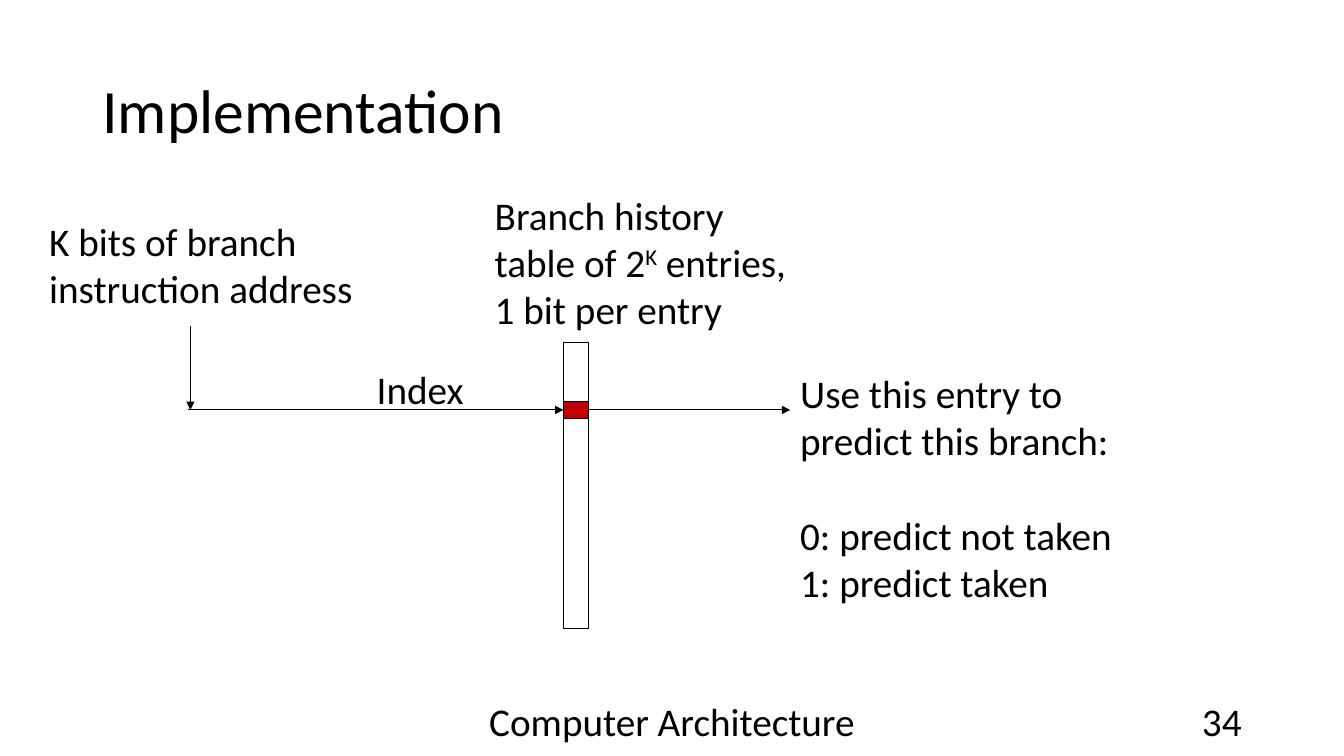
"""Build a slide that shows how a branch history table is implemented."""
from lxml import etree
from pptx import Presentation
from pptx.dml.color import RGBColor
from pptx.enum.shapes import MSO_CONNECTOR, MSO_SHAPE
from pptx.enum.text import MSO_ANCHOR, MSO_AUTO_SIZE, PP_ALIGN
from pptx.oxml.ns import qn
from pptx.util import Pt

STRAIGHT = MSO_CONNECTOR.STRAIGHT
RECTANGLE = MSO_SHAPE.RECTANGLE
MIDDLE = MSO_ANCHOR.MIDDLE
NO_FIT, GROW = MSO_AUTO_SIZE.NONE, MSO_AUTO_SIZE.SHAPE_TO_FIT_TEXT
LEFT, CENTER, RIGHT = PP_ALIGN.LEFT, PP_ALIGN.CENTER, PP_ALIGN.RIGHT
BLACK, RED = "000000", "C00000"


def color(hex_string):
    """Return the colour for a hex string."""
    return RGBColor.from_string(hex_string)


def format_text(text_frame, size):
    """Set the font of every run in a text frame."""
    for paragraph in text_frame.paragraphs:
        for run in paragraph.runs:
            run.font.name = "Calibri"
            run.font.size = Pt(size)
            run.font.color.rgb = color(BLACK)


presentation = Presentation()
presentation.slide_width, presentation.slide_height = Pt(960), Pt(540)
slide = presentation.slides.add_slide(presentation.slide_layouts[5])

title = slide.shapes.title
title.left, title.top, title.width, title.height = Pt(66), Pt(28.8), Pt(828), Pt(104.4)
title.text_frame.text = "Implementation"
title.text_frame.vertical_anchor = MIDDLE
title.text_frame.auto_size = NO_FIT
title.text_frame.paragraphs[0].alignment = LEFT
title.text_frame.paragraphs[0].line_spacing = 0.9
format_text(title.text_frame, 44)

footers = [
    ("Computer Architecture", 318, 324, CENTER),
    ("34", 678, 216, RIGHT),
]
for text, left, width, alignment in footers:
    footer = slide.shapes.add_textbox(Pt(left), Pt(500.4), Pt(width), Pt(28.8))
    footer.text_frame.text = text
    footer.text_frame.word_wrap = True
    footer.text_frame.vertical_anchor = MIDDLE
    footer.text_frame.paragraphs[0].alignment = alignment
    format_text(footer.text_frame, 28)

table_left, table_width, index_y = 402.5, 18, 292.8
table_right = table_left + table_width
entry_height = 12.2
cells = [
    (244.8, 204.2, None),
    (index_y - entry_height / 2, entry_height, RED),
]
for top, height, fill in cells:
    cell = slide.shapes.add_shape(
        RECTANGLE, Pt(table_left), Pt(top), Pt(table_width), Pt(height))
    cell.shadow.inherit = False
    cell.line.color.rgb = color(BLACK)
    cell.line.width = Pt(0.75)
    if fill:
        cell.fill.solid()
        cell.fill.fore_color.rgb = color(fill)
    else:
        cell.fill.background()

arrows = [
    (136, 232.8, 136, index_y),
    (134.6, index_y, table_left, index_y),
    (table_right, index_y, 564.5, index_y),
]
for start_x, start_y, end_x, end_y in arrows:
    arrow = slide.shapes.add_connector(
        STRAIGHT, Pt(start_x), Pt(start_y), Pt(end_x), Pt(end_y))
    arrow.line.color.rgb = color(BLACK)
    arrow.line.width = Pt(0.75)
    properties = arrow._element.spPr
    etree.SubElement(properties.find(qn("a:ln")), qn("a:tailEnd"), type="triangle")
    etree.SubElement(properties, qn("a:effectLst"))

labels = [
    (28, 152, 234, 75, [["K bits of branch", "instruction address"]]),
    (262, 257.5, 77, 41, [["Index"]]),
    (346.3, 132.9, 226, 108.7,
     [["Branch history", "table of 2^K^ entries,", "1 bit per entry"]]),
    (564.5, 260.5, 239.8, 177,
     [["Use this entry to", "predict this branch:"],
      ["0: predict not taken"], ["1: predict taken"]]),
]
for left, top, width, height, paragraphs in labels:
    label = slide.shapes.add_textbox(Pt(left), Pt(top), Pt(width), Pt(height))
    text_frame = label.text_frame
    text_frame.word_wrap = False
    text_frame.auto_size = GROW
    for number, lines in enumerate(paragraphs):
        paragraph = text_frame.add_paragraph() if number else text_frame.paragraphs[0]
        if number == 1:
            paragraph.space_before = Pt(33.8)
        for line_number, line in enumerate(lines):
            if line_number:
                paragraph.add_line_break()
            for position, part in enumerate(line.split("^")):
                run = paragraph.add_run()
                run.text = part
                if position == 1:
                    run.font._element.set("baseline", "30000")
    format_text(text_frame, 28)

presentation.save("out.pptx")
